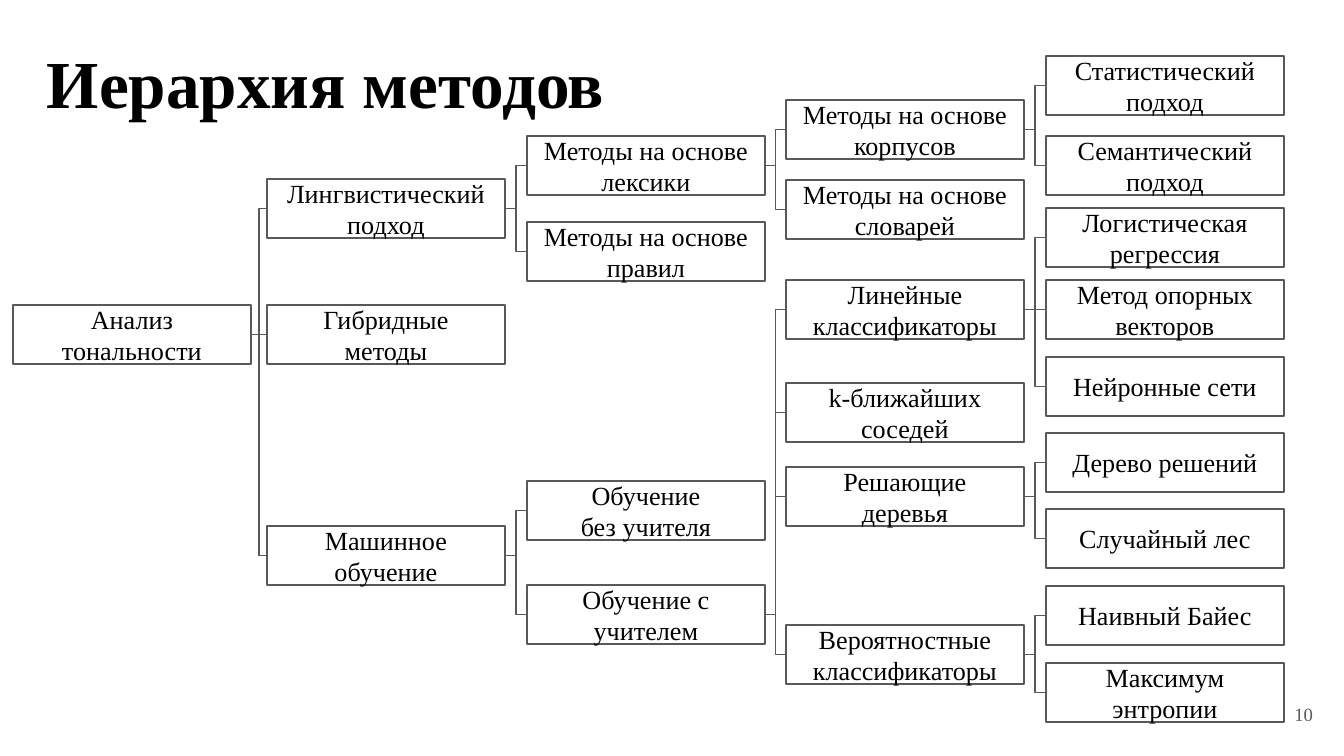
from pptx import Presentation
from pptx.dml.color import RGBColor
from pptx.enum import shapes, text
from pptx.oxml import parse_xml
from pptx.oxml.ns import nsdecls
from pptx import util as u

FONT = "Times New Roman"
BLACK, GREY, WHITE = "000000", "595959", "FFFFFF"
TITLE = "Иерархия методов"
PAGE_NUMBER = "10"

# Methods: key, parent key, column, top in px, label lines
METHODS = [
    ("root", None, 0, 305, ["Анализ тональности"]),
    ("linguistic", "root", 1, 179, ["Лингвистический подход"]),
    ("hybrid", "root", 1, 305, ["Гибридные методы"]),
    ("learning", "root", 1, 526, ["Машинное обучение"]),
    ("lexicon", "linguistic", 2, 136, ["Методы на основе лексики"]),
    ("rules", "linguistic", 2, 222, ["Методы на основе правил"]),
    ("unsupervised", "learning", 2, 481, ["Обучение", "без учителя"]),
    ("supervised", "learning", 2, 585, ["Обучение с учителем"]),
    ("corpora", "lexicon", 3, 100, ["Методы на основе корпусов"]),
    ("dictionaries", "lexicon", 3, 180, ["Методы на основе словарей"]),
    ("linear", "supervised", 3, 280, ["Линейные классификаторы"]),
    ("neighbours", "supervised", 3, 383, ["k-ближайших соседей"]),
    ("trees", "supervised", 3, 467, ["Решающие деревья"]),
    ("probabilistic", "supervised", 3, 625, ["Вероятностные классификаторы"]),
    ("statistical", "corpora", 4, 56, ["Статистический подход"]),
    ("semantic", "corpora", 4, 136, ["Семантический подход"]),
    ("logistic", "linear", 4, 208, ["Логистическая регрессия"]),
    ("vectors", "linear", 4, 280, ["Метод опорных векторов"]),
    ("neural", "linear", 4, 357, ["Нейронные сети"]),
    ("decision", "trees", 4, 433, ["Дерево решений"]),
    ("forest", "trees", 4, 509, ["Случайный лес"]),
    ("bayes", "probabilistic", 4, 586, ["Наивный Байес"]),
    ("entropy", "probabilistic", 4, 663, ["Максимум энтропии"]),
]
COLUMN_LEFTS = [13, 267, 527, 786, 1046]
BOX_WIDTH, BOX_HEIGHT = 238, 59
RIGHT_SIDE, LEFT_SIDE = 3, 1


def px(value):
    return u.Emu(round(value * 914400 / 134.4))


def color(value):
    return RGBColor.from_string(value)


def write(shape, lines, size, fill, align, anchor, margins, bold=False):
    frame = shape.text_frame
    frame.word_wrap = True
    frame.auto_size = text.MSO_AUTO_SIZE.NONE
    frame.vertical_anchor = anchor
    (frame.margin_left, frame.margin_top,
     frame.margin_right, frame.margin_bottom) = map(px, margins)
    for index, line in enumerate(lines):
        paragraph = frame.add_paragraph() if index else frame.paragraphs[0]
        paragraph.alignment = align
        run = paragraph.add_run()
        run.text = line
        run.font.name = FONT
        run.font.size = u.Pt(size)
        run.font.bold = bold
        run.font.color.rgb = color(fill)


def outline(shape):
    shape.line.color.rgb = color(GREY)
    shape.line.width = u.Pt(0.75)


def add_box(slide, column, top, lines):
    box = slide.shapes.add_shape(
        shapes.MSO_SHAPE.RECTANGLE, px(COLUMN_LEFTS[column]), px(top),
        px(BOX_WIDTH), px(BOX_HEIGHT))
    box.shadow.inherit = False
    box.fill.solid()
    box.fill.fore_color.rgb = color(WHITE)
    outline(box)
    write(box, lines, 14, BLACK, text.PP_ALIGN.CENTER,
          text.MSO_ANCHOR.MIDDLE, (13, 13, 13, 13))
    return box


def add_branch(slide, parent, child):
    branch = slide.shapes.add_connector(shapes.MSO_CONNECTOR.ELBOW, 0, 0, 0, 0)
    branch.begin_connect(parent, RIGHT_SIDE)
    branch.end_connect(child, LEFT_SIDE)
    outline(branch)
    branch._element.spPr.append(parse_xml(f"<a:effectLst {nsdecls('a')}/>"))


def main():
    presentation = Presentation()
    presentation.slide_width, presentation.slide_height = px(1344), px(756)
    slide = presentation.slides.add_slide(presentation.slide_layouts[5])

    # Title
    title = slide.shapes.title
    title.left, title.top, title.width, title.height = map(px, (35, 38, 634, 95))
    write(title, [TITLE], 36, BLACK, text.PP_ALIGN.LEFT,
          text.MSO_ANCHOR.TOP, (12, 11, 12, 5), bold=True)
    title.text_frame.paragraphs[0].line_spacing = 0.93

    # Tree of methods: every parent stands before its children
    boxes = {}
    for key, parent, column, top, lines in METHODS:
        boxes[key] = add_box(slide, column, top, lines)
        if parent:
            add_branch(slide, boxes[parent], boxes[key])

    # Page number
    number = slide.shapes.add_textbox(*map(px, (1246, 685, 80, 58)))
    write(number, [PAGE_NUMBER], 10, GREY, text.PP_ALIGN.RIGHT,
          text.MSO_ANCHOR.MIDDLE, (13, 13, 13, 13))

    presentation.save("out.pptx")


if __name__ == "__main__":
    main()
